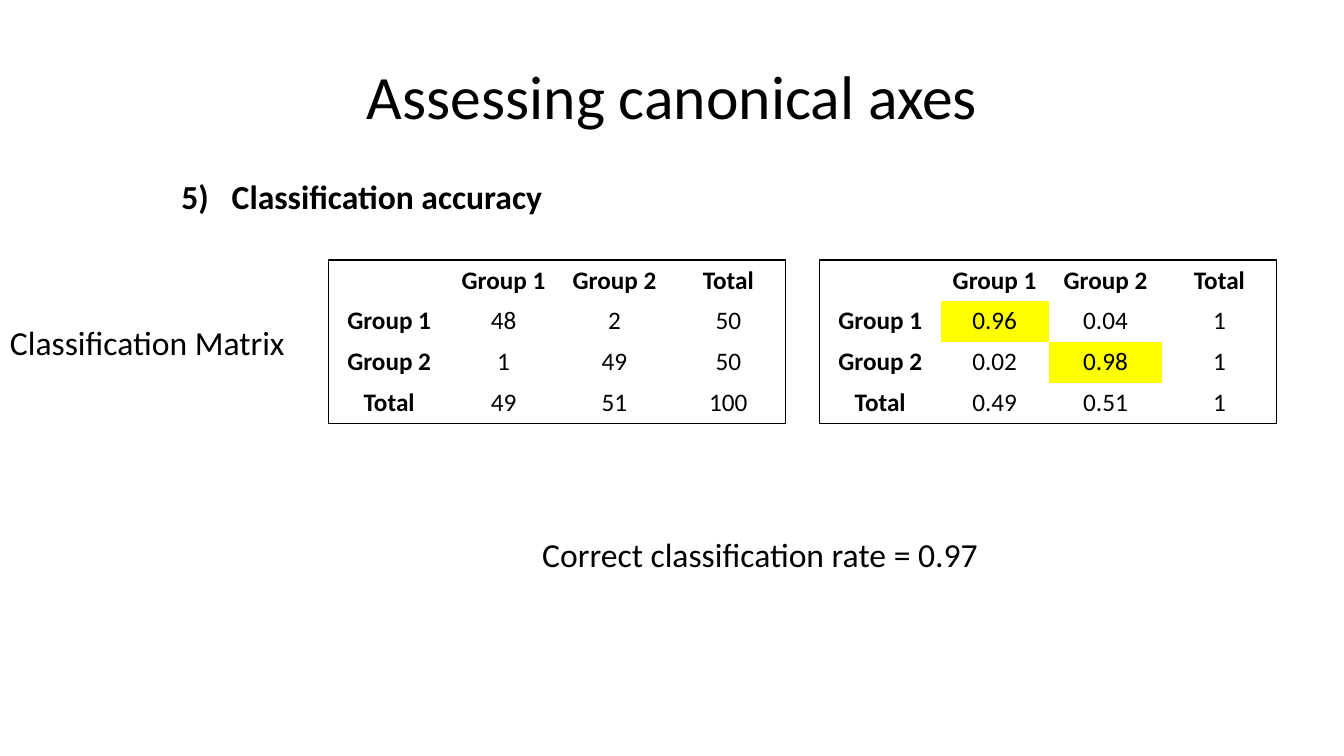
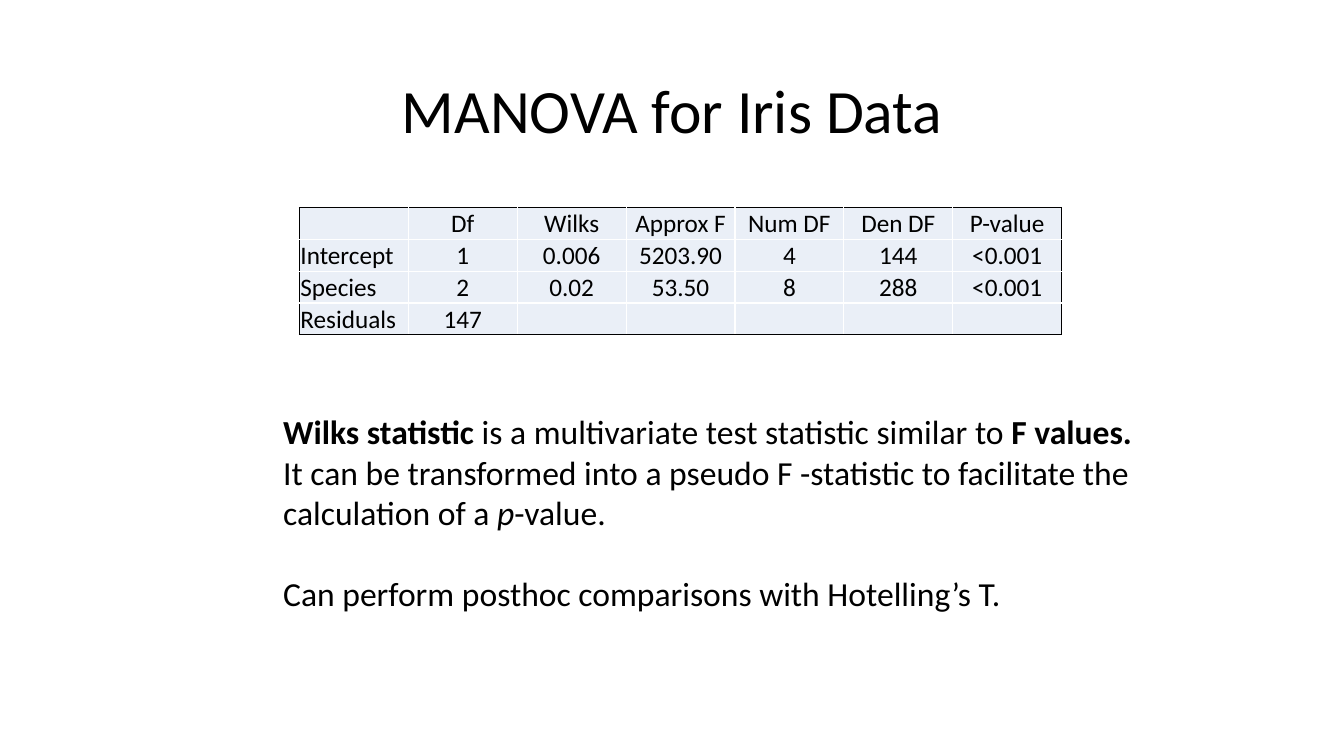
"""Build two slides on classification accuracy and MANOVA."""
from dataclasses import dataclass
from typing import Optional

from lxml import etree
from pptx import Presentation
from pptx.dml.color import RGBColor
from pptx.enum.text import MSO_ANCHOR, MSO_AUTO_SIZE, PP_ALIGN
from pptx.oxml.ns import qn
from pptx.slide import Slide
from pptx.table import _Cell
from pptx.util import Inches, Pt

BLACK = RGBColor(0x00, 0x00, 0x00)
WHITE = RGBColor(0xFF, 0xFF, 0xFF)
YELLOW = RGBColor(0xFF, 0xFF, 0x00)
PALE = RGBColor(0xEA, 0xEF, 0xF7)
FONT = "Calibri"
LEFT, CENTER = PP_ALIGN.LEFT, PP_ALIGN.CENTER
TOP, MIDDLE, BOTTOM = MSO_ANCHOR.TOP, MSO_ANCHOR.MIDDLE, MSO_ANCHOR.BOTTOM
GROW = MSO_AUTO_SIZE.SHAPE_TO_FIT_TEXT
TITLE_ONLY = 5


@dataclass(frozen=True)
class Look:
    """Styling shared by the cells of a table."""
    fill: Optional[RGBColor]
    inner: Optional[RGBColor]
    bold: bool
    side: PP_ALIGN
    anchor: MSO_ANCHOR
    inset: Optional[tuple[float, float, float, float]] = None


@dataclass(frozen=True)
class Grid:
    """A table with its place, columns and values."""
    left: float
    top: float
    height: float
    cols: tuple[float, ...]
    rows: tuple[tuple[str, ...], ...]
    look: Look
    marks: tuple[tuple[int, int], ...] = ()


@dataclass(frozen=True)
class Run:
    """A piece of text with its emphasis."""
    text: str
    bold: bool = False
    slant: bool = False


@dataclass(frozen=True)
class Note:
    """A text box made of paragraphs of runs."""
    left: float
    top: float
    width: float
    height: float
    paras: tuple[tuple[Run, ...], ...]
    start: Optional[int] = None
    gaps: tuple[int, ...] = ()


PLAIN = Look(None, None, True, CENTER, TOP)
TINTED = Look(PALE, WHITE, False, LEFT, BOTTOM, (0.01, 0.01, 0.01, 0))
MATRIX_COLS = (1.2, 1.07, 1.13, 1.13)
HEAD = ("", "Group 1", "Group 2", "Total")

COUNTS = Grid(3.26, 2.58, 1.62, MATRIX_COLS, (
    HEAD,
    ("Group 1", "48", "2", "50"),
    ("Group 2", "1", "49", "50"),
    ("Total", "49", "51", "100"),
), PLAIN)
RATES = Grid(8.13, 2.58, 1.62, MATRIX_COLS, (
    HEAD,
    ("Group 1", "0.96", "0.04", "1"),
    ("Group 2", "0.02", "0.98", "1"),
    ("Total", "0.49", "0.51", "1"),
), PLAIN, ((1, 1), (2, 2)))
MANOVA = Grid(2.97, 2.06, 1.24, (1.08,) * 7, (
    ("", "Df", "Wilks", "Approx F", "Num DF", "Den DF", "P-value"),
    ("Intercept", "1", "0.006", "5203.90", "4", "144", "<0.001"),
    ("Species", "2", "0.02", "53.50", "8", "288", "<0.001"),
    ("Residuals", "147", "", "", "", "", ""),
), TINTED)

STEP = Note(1.7, 1.7, 3.82, 0.5, ((Run("Classification accuracy", True),),), 5)
LABEL = Note(0, 3.14, 2.95, 0.5, ((Run("Classification Matrix"),),))
RESULT = Note(5.28, 5.25, 4.56, 0.5,
              ((Run("Correct classification rate = 0.97"),),))
WILKS = Note(2.71, 4.03, 8.92, 2.93, (
    (Run("Wilks statistic ", True),
     Run("is a multivariate test statistic similar to "),
     Run("F values.", True)),
    (Run("It can be transformed into a pseudo F -statistic to facilitate the"),),
    (Run("calculation of a "), Run("p", slant=True), Run("-value.")),
    (Run("Can perform posthoc comparisons with Hotelling’s T."),),
), gaps=(3,))


def set_font(para, size: int) -> None:
    """Apply the shared font to a paragraph."""
    para.font.name = FONT
    para.font.size = Pt(size)
    para.font.color.rgb = BLACK


def add_title(slide: Slide, text: str, top: float) -> None:
    """Place and format the title placeholder."""
    title = slide.shapes.title
    title.left, title.top = Inches(0.92), Inches(top)
    title.width, title.height = Inches(11.5), Inches(1.45)
    frame = title.text_frame
    frame.text = text
    frame.vertical_anchor = MIDDLE
    para = frame.paragraphs[0]
    para.alignment = CENTER
    para.line_spacing = 0.9
    set_font(para, 44)


def set_number(para, start: int) -> None:
    """Number a paragraph with a hanging indent."""
    props = para._p.get_or_add_pPr()
    props.set("marL", str(Inches(0.5)))
    props.set("indent", str(-Inches(0.5)))
    etree.SubElement(props, qn("a:buFont"), typeface="+mj-lt")
    etree.SubElement(props, qn("a:buAutoNum"), type="arabicParenR",
                     startAt=str(start))


def add_note(slide: Slide, note: Note) -> None:
    """Draw a text box."""
    box = slide.shapes.add_textbox(Inches(note.left), Inches(note.top),
                                   Inches(note.width), Inches(note.height))
    frame = box.text_frame
    frame.word_wrap = False
    frame.auto_size = GROW
    for index, runs in enumerate(note.paras):
        para = frame.add_paragraph() if index else frame.paragraphs[0]
        if index in note.gaps:
            para.space_before = Pt(29)
        if note.start is not None:
            set_number(para, note.start + index)
        set_font(para, 24)
        for item in runs:
            run = para.add_run()
            run.text = item.text
            run.font.bold = item.bold
            run.font.italic = item.slant


def set_edge(cell: _Cell, tag: str, color: Optional[RGBColor]) -> None:
    """Draw or clear one border of a cell."""
    props = cell._tc.get_or_add_tcPr()
    line = etree.SubElement(props, qn(tag), w=str(Pt(1)))
    if color is None:
        etree.SubElement(line, qn("a:noFill"))
    else:
        solid = etree.SubElement(line, qn("a:solidFill"))
        etree.SubElement(solid, qn("a:srgbClr"), val=str(color))


def style_cell(cell: _Cell, grid: Grid, row: int, col: int) -> None:
    """Fill one cell with its value, borders and colour."""
    look = grid.look
    edges = (
        ("a:lnL", col == 0),
        ("a:lnR", col == len(grid.cols) - 1),
        ("a:lnT", row == 0),
        ("a:lnB", row == len(grid.rows) - 1),
    )
    for tag, outer in edges:
        set_edge(cell, tag, BLACK if outer else look.inner)
    color = YELLOW if (row, col) in grid.marks else look.fill
    if color is None:
        cell.fill.background()
    else:
        cell.fill.solid()
        cell.fill.fore_color.rgb = color
    cell.vertical_anchor = look.anchor
    if look.inset:
        (cell.margin_left, cell.margin_top, cell.margin_right,
         cell.margin_bottom) = map(Inches, look.inset)
    cell.text = grid.rows[row][col]
    para = cell.text_frame.paragraphs[0]
    para.alignment = CENTER if col else look.side
    para.font.bold = look.bold and (row == 0 or col == 0)
    set_font(para, 18)


def add_grid(slide: Slide, grid: Grid) -> None:
    """Draw a table."""
    count = len(grid.rows)
    frame = slide.shapes.add_table(
        count, len(grid.cols), Inches(grid.left), Inches(grid.top),
        Inches(sum(grid.cols)), Inches(grid.height))
    table = frame.table
    table.first_row = False
    table.horz_banding = False
    for col, width in enumerate(grid.cols):
        table.columns[col].width = Inches(width)
    for row in range(count):
        table.rows[row].height = Inches(grid.height / count)
        for col in range(len(grid.cols)):
            style_cell(table.cell(row, col), grid, row, col)


def main() -> None:
    """Build and save the deck."""
    deck = Presentation()
    deck.slide_width, deck.slide_height = Inches(13.33), Inches(7.5)
    pages = (
        ("Assessing canonical axes", 0.26, (COUNTS, RATES),
         (STEP, LABEL, RESULT)),
        ("MANOVA for Iris Data", 0.4, (MANOVA,), (WILKS,)),
    )
    for title, top, grids, notes in pages:
        slide = deck.slides.add_slide(deck.slide_layouts[TITLE_ONLY])
        add_title(slide, title, top)
        for grid in grids:
            add_grid(slide, grid)
        for note in notes:
            add_note(slide, note)
    deck.save("out.pptx")


if __name__ == "__main__":
    main()
